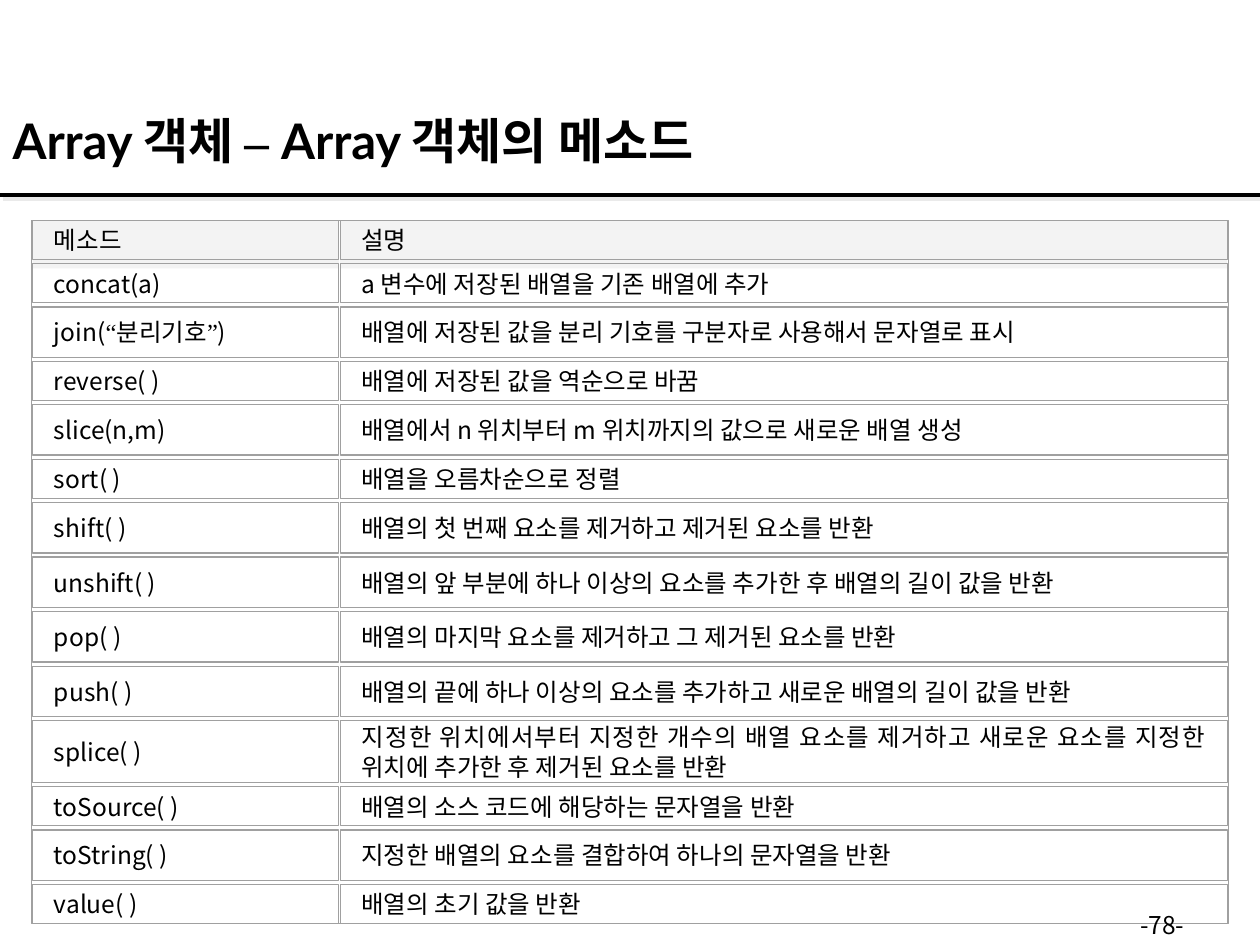
import pptx
import pptx.dml.color
import pptx.enum.shapes
import pptx.enum.text
import pptx.oxml
import pptx.oxml.ns
import pptx.util
from lxml import etree

RGB = pptx.dml.color.RGBColor
BLACK = RGB(0x00, 0x00, 0x00)
HEADER = RGB(0xF3, 0xF3, 0xF3)
BORDER = RGB(0xA0, 0xA0, 0xA0)

ALIGN = pptx.enum.text.PP_ALIGN
ANCHOR = pptx.enum.text.MSO_ANCHOR
qn = pptx.oxml.ns.qn

SANS, LATIN, SERIF = "Noto Sans CJK KR", "Lato", "Times New Roman"
WIDTH, HEIGHT = 10, 7.5

# Table grid, in inches: (left, width) of each column, three row heights
COLUMNS = [(0.26, 2.43), (2.7, 7.04)]
LOW, MID, TALL = 0.31, 0.4, 0.49
TABLE = (0.25, 1.75, 9.5, 5.58)
PAD_X, PAD_Y = 0.07, 0.02

ROWS = [
    (LOW, "메소드", "설명"),
    (LOW, "concat(a)", "a 변수에 저장된 배열을 기존 배열에 추가"),
    (MID, [("join(", SANS), ("“", SERIF), ("분리기호", SANS), ("”", SERIF), (")", SANS)],
     "배열에 저장된 값을 분리 기호를 구분자로 사용해서 문자열로 표시"),
    (LOW, "reverse( )", "배열에 저장된 값을 역순으로 바꿈"),
    (MID, "slice(n,m)", "배열에서 n 위치부터 m 위치까지의 값으로 새로운 배열 생성"),
    (LOW, "sort( )", "배열을 오름차순으로 정렬"),
    (MID, "shift( )", "배열의 첫 번째 요소를 제거하고 제거된 요소를 반환"),
    (MID, "unshift( )", "배열의 앞 부분에 하나 이상의 요소를 추가한 후 배열의 길이 값을 반환"),
    (MID, "pop( )", "배열의 마지막 요소를 제거하고 그 제거된 요소를 반환"),
    (MID, "push( )", "배열의 끝에 하나 이상의 요소를 추가하고 새로운 배열의 길이 값을 반환"),
    (TALL, "splice( )", "지정한 위치에서부터 지정한 개수의 배열 요소를 제거하고 "
                        "새로운 요소를 지정한 위치에 추가한 후 제거된 요소를 반환"),
    (LOW, "toSource( )", "배열의 소스 코드에 해당하는 문자열을 반환"),
    (MID, "toString( )", "지정한 배열의 요소를 결합하여 하나의 문자열을 반환"),
    (LOW, "value( )", "배열의 초기 값을 반환"),
]


class Deck:
    def __init__(self):
        self.prs = pptx.Presentation()
        self.prs.slide_width = pptx.util.Inches(WIDTH)
        self.prs.slide_height = pptx.util.Inches(HEIGHT)
        self.s = self.prs.slides.add_slide(self.prs.slide_layouts[5])

    def box(self, *at):
        return [pptx.util.Inches(v) for v in at]

    def set_text(self, sp, runs, size, align, anchor, bold=False):
        tf = sp.text_frame
        tf.word_wrap = True
        tf.vertical_anchor = anchor
        p = tf.paragraphs[0]
        p.alignment = align
        for text, face in [(runs, SANS)] if isinstance(runs, str) else runs:
            r = p.add_run()
            r.text = text
            r.font.size = pptx.util.Pt(size)
            r.font.bold = bold
            r.font.color.rgb = BLACK
            r.font.name = face
            # Hangul takes its face from the East Asian slot
            ea = etree.SubElement(r._r.get_or_add_rPr(), qn("a:ea"))
            ea.set("typeface", SANS if face == LATIN else face)

    def title(self, at, runs):
        sp = self.s.shapes.title
        sp.left, sp.top, sp.width, sp.height = self.box(*at)
        self.set_text(sp, runs, 28, ALIGN.LEFT, ANCHOR.TOP, bold=True)
        sp.text_frame.auto_size = pptx.enum.text.MSO_AUTO_SIZE.SHAPE_TO_FIT_TEXT

    def text(self, at, runs, align=ALIGN.JUSTIFY, anchor=ANCHOR.MIDDLE):
        sp = self.s.shapes.add_textbox(*self.box(*at))
        self.set_text(sp, runs, 14, align, anchor)

    def rect(self, at, fill=None, line=None, weight=0):
        kind = pptx.enum.shapes.MSO_SHAPE.RECTANGLE
        sp = self.s.shapes.add_shape(kind, *self.box(*at))
        sp.shadow.inherit = False
        if fill is None:
            sp.fill.background()
        else:
            sp.fill.solid()
            sp.fill.fore_color.rgb = fill
        if line is None:
            sp.line.fill.background()
        else:
            sp.line.color.rgb = line
            sp.line.width = pptx.util.Pt(weight)

    def rule(self, y):
        kind = pptx.enum.shapes.MSO_CONNECTOR.STRAIGHT
        ln = self.s.shapes.add_connector(kind, *self.box(0, y, WIDTH, y))
        ln.line.color.rgb = BLACK
        ln.line.width = pptx.util.Pt(2.25)
        effects = etree.SubElement(ln._element.spPr, qn("a:effectLst"))
        shadow = etree.SubElement(effects, qn("a:outerShdw"), dist="35560", dir="2700000")
        etree.SubElement(shadow, qn("a:srgbClr"), val="EAEAEA")

    def cell(self, left, top, width, height, runs, fill=None):
        if fill is not None:
            self.rect((left, top, width, height + PAD_X), fill=fill)
        self.text((left + PAD_X, top + PAD_Y, width - 2 * PAD_X, height - 2 * PAD_Y), runs)
        self.rect((left, top, width, height), line=BORDER)


def main():
    d = Deck()

    # Heading and rule
    d.title((0, 0.83, 9.75, 0.57),
            [("Array 객체 ", LATIN), ("– ", SERIF), ("Array 객체의 메소드", LATIN)])
    d.rule(1.55)

    # Method table: framed cells with an equal gap between rows
    top = TABLE[1]
    gap = (TABLE[3] - sum(row[0] for row in ROWS)) / (len(ROWS) - 1)
    for i, (height, *cells) in enumerate(ROWS):
        for (left, width), runs in zip(COLUMNS, cells):
            d.cell(left, top, width, height, runs, fill=HEADER if i == 0 else None)
        top += height + gap
    d.rect(TABLE, line=BORDER, weight=0.75)

    # Page number
    d.text((7.17, 7.17, 2.33, 0.55), "-78-", ALIGN.RIGHT, ANCHOR.TOP)

    d.prs.save("out.pptx")


if __name__ == "__main__":
    main()
